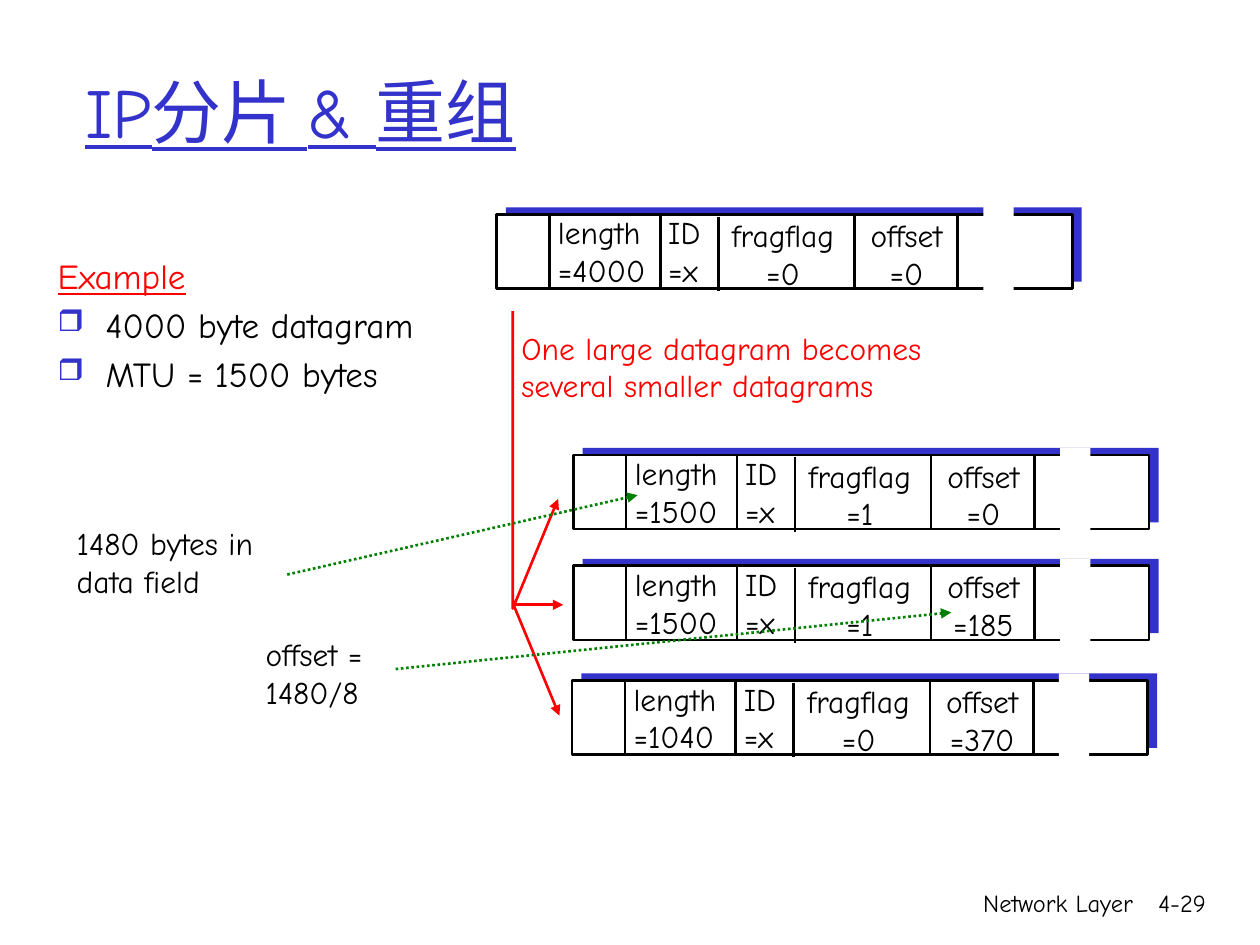
import dataclasses

import pptx
import pptx.dml.color
import pptx.enum.dml
import pptx.enum.shapes
import pptx.enum.text
import pptx.oxml.ns
import pptx.util
from lxml import etree


@dataclasses.dataclass(frozen=True)
class Theme:
    font: str = "Comic Neue"
    black: str = "000000"
    white: str = "FFFFFF"
    blue: str = "3333CC"
    red: str = "FF0000"
    green: str = "008000"
    title_size: int = 40
    list_size: int = 20
    label_size: int = 18
    footer_size: int = 14
    line_width: float = 1.5


THEME = Theme()
COLUMNS, ROWS = 100, 75
CELL = pptx.util.Inches(10) // COLUMNS
ALIGN = pptx.enum.text.PP_ALIGN
DATAGRAM_WIDTH, DATAGRAM_HEIGHT = 45.7, 5.9
SEPARATORS = [(4.2, 0), (13, 0), (17.6, 0.2), (28.4, 0), (36.6, 0)]
FIELDS = [
    ("length", 3.9, -0.55, 9.4, ALIGN.LEFT),
    ("ID", 12.65, -0.55, 5.2, ALIGN.LEFT),
    ("fragflag", 16.95, -0.35, 11.6, ALIGN.CENTER),
    ("offset", 27.75, -0.35, 9.6, ALIGN.CENTER),
]
DATAGRAMS = [
    (39.4, 17, ("4000", "x", "0", "0")),
    (45.5, 36.1, ("1500", "x", "1", "0")),
    (45.5, 44.9, ("1500", "x", "1", "185")),
    (45.4, 54, ("1040", "x", "0", "370")),
]


def grid(*counts):
    return [round(count * CELL) for count in counts]


def color(value):
    return pptx.dml.color.RGBColor.from_string(value)


def add_child(parent, tag, **attributes):
    return etree.SubElement(parent, pptx.oxml.ns.qn(tag), attributes)


def set_bullet(paragraph):
    properties = paragraph._p.get_or_add_pPr()
    bullet_color = add_child(properties, "a:buClr")
    add_child(bullet_color, "a:srgbClr", val=THEME.blue)
    add_child(properties, "a:buSzPct", val="85000")
    add_child(properties, "a:buChar", char="❒")


def format_runs(paragraph, size, text_color, underline=False):
    for run in paragraph.runs:
        run.font.name = THEME.font
        run.font.size = pptx.util.Pt(size)
        run.font.color.rgb = color(text_color)
        run.font.underline = underline


def add_text(shapes, text, box, size=THEME.label_size, text_color=THEME.black,
             align=ALIGN.LEFT, underline=False, wrap=False, middle=False):
    shape = shapes.add_textbox(*grid(*box))
    frame = shape.text_frame
    frame.text = text
    frame.word_wrap = wrap
    if not wrap:
        frame.auto_size = pptx.enum.text.MSO_AUTO_SIZE.SHAPE_TO_FIT_TEXT
    if middle:
        frame.vertical_anchor = pptx.enum.text.MSO_ANCHOR.MIDDLE
    for paragraph in frame.paragraphs:
        paragraph.alignment = align
        format_runs(paragraph, size, text_color, underline)
    return shape


def add_bullet_list(shapes, heading, items, box):
    shape = add_text(shapes, "\n".join([heading, *items]), box,
                     size=THEME.list_size, wrap=True)
    first, *others = shape.text_frame.paragraphs
    format_runs(first, THEME.list_size, THEME.red, underline=True)
    for paragraph in others:
        paragraph.space_before = pptx.util.Pt(4)
        set_bullet(paragraph)
    for paragraph in shape.text_frame.paragraphs:
        properties = paragraph._p.get_or_add_pPr()
        indent = round(3.8 * CELL)
        properties.set("marL", str(indent))
        properties.set("indent", str(-indent))


def add_rectangle(shapes, box, fill, outline=None):
    shape = shapes.add_shape(pptx.enum.shapes.MSO_SHAPE.RECTANGLE, *grid(*box))
    shape.shadow.inherit = False
    shape.fill.solid()
    shape.fill.fore_color.rgb = color(fill)
    if outline:
        style_line(shape, outline)
    else:
        shape.line.fill.background()


def style_line(shape, line_color, arrow=False, dotted=False):
    shape.line.color.rgb = color(line_color)
    shape.line.width = pptx.util.Pt(THEME.line_width)
    if dotted:
        shape.line.dash_style = pptx.enum.dml.MSO_LINE.ROUND_DOT
    if arrow:
        add_child(shape.line._get_or_add_ln(), "a:tailEnd", type="triangle")


def add_line(shapes, start, end, line_color, **style):
    connector = shapes.add_connector(
        pptx.enum.shapes.MSO_CONNECTOR.STRAIGHT, *grid(*start, *end))
    style_line(connector, line_color, **style)
    add_child(connector._element.spPr, "a:effectLst")


def add_path(shapes, points, line_color):
    start, *others = [grid(*point) for point in points]
    builder = shapes.build_freeform(*start)
    builder.add_line_segments(others, close=False)
    shape = builder.convert_to_shape()
    shape.shadow.inherit = False
    shape.fill.background()
    style_line(shape, line_color, arrow=True)


def add_datagram(slide, left, top, values):
    shapes = slide.shapes.add_group_shape().shapes
    size = (DATAGRAM_WIDTH, DATAGRAM_HEIGHT)
    add_rectangle(shapes, (left + 0.75, top - 0.55, *size), THEME.blue)
    add_rectangle(shapes, (left, top, *size), THEME.white, THEME.black)
    for (name, across, down, width, align), value in zip(FIELDS, values):
        add_text(shapes, f"{name}\n={value}",
                 (left + across, top + down, width, 7), align=align)
    for across, down in SEPARATORS:
        x, y = left + across, top + down
        add_line(shapes, (x, y), (x, y + DATAGRAM_HEIGHT), THEME.black)
    add_rectangle(shapes, (left + 38.65, top - 0.55, 2.4, 6.6), THEME.white)


def add_fragmentation_arrows(slide):
    shapes = slide.shapes.add_group_shape().shapes
    add_path(shapes, [(40.7, 24.7), (40.7, 48.3), (44.3, 39.6)], THEME.red)
    add_line(shapes, (40.7, 48), (44.7, 48), THEME.red, arrow=True)
    add_line(shapes, (40.8, 48.1), (44.4, 56.8), THEME.red, arrow=True)
    add_text(shapes, "One large datagram becomes\nseveral smaller datagrams",
             (40.4, 25.6, 35.7, 7), text_color=THEME.red)


def add_note(slide, text, box, start, end):
    add_text(slide.shapes, text, box)
    add_line(slide.shapes, start, end, THEME.green, arrow=True, dotted=True)


def main():
    presentation = pptx.Presentation()
    presentation.slide_width, presentation.slide_height = grid(COLUMNS, ROWS)
    slide = presentation.slides.add_slide(presentation.slide_layouts[6])
    for text, box in [("Network Layer", (59.2, 70, 31.7, 5)),
                      ("4-29", (89.3, 70, 7.4, 5))]:
        add_text(slide.shapes, text, box, size=THEME.footer_size,
                 align=ALIGN.RIGHT, wrap=True)
    add_text(slide.shapes, "IP分片 & 重组", (5.8, 2.5, 85, 12.5),
             size=THEME.title_size, text_color=THEME.blue,
             underline=True, wrap=True, middle=True)
    for left, top, values in DATAGRAMS:
        add_datagram(slide, left, top, values)
    add_fragmentation_arrows(slide)
    add_bullet_list(slide.shapes, "Example",
                    ["4000 byte datagram", "MTU = 1500 bytes"],
                    (3.6, 19.7, 31, 18.4))
    add_note(slide, "1480 bytes in \vdata field", (5.1, 41.1, 18.5, 7),
             (22.8, 45.6), (50.6, 39.3))
    add_note(slide, "offset =\n1480/8", (20.1, 49.9, 11.6, 7),
             (31.4, 53.1), (75.5, 48.6))
    presentation.save("out.pptx")


if __name__ == "__main__":
    main()
